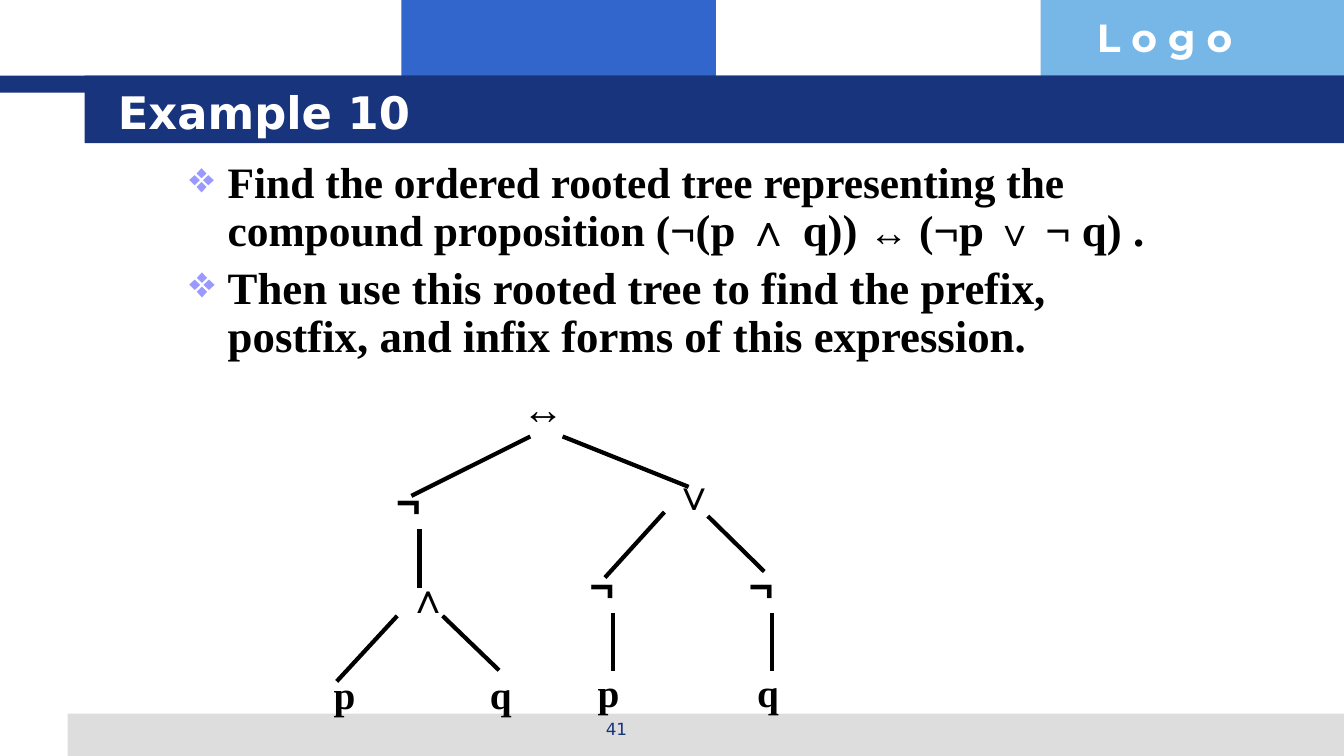
from pptx import Presentation
from pptx.dml.color import RGBColor
from pptx.enum.shapes import MSO_CONNECTOR, MSO_SHAPE
from pptx.enum.text import MSO_ANCHOR, MSO_AUTO_SIZE, PP_ALIGN
from pptx.oxml.ns import qn
from pptx.util import Inches, Pt
from lxml.etree import SubElement

# Content
TITLE = "Example 10"
LOGO = "L o g o"
PAGE = "41"
TASKS = [  # paragraphs of (text, style) runs
    [("Find the ordered rooted tree representing the compound proposition (", "body"),
     ("¬(p ∧ q)) ", "formula"), ("↔ ", "symbol"), ("(", "body"),
     ("¬p ", "formula"), ("∨ ", "symbol"), ("¬ q) .", "formula")],
    [("Then use this rooted tree to find the prefix, postfix, and infix forms "
      "of this expression.", "formula")],
]
OPERATORS = [("↔", 5.08, 3.75), ("∨", 6.58, 4.6), ("∧", 3.94, 5.62)]
NEGATIONS = [(3.83, 4.67), (5.75, 5.5), (7.33, 5.5)]
LEAVES = [("p", 3.21, 6.6), ("q", 4.76, 6.6), ("p", 5.83, 6.58), ("q", 7.41, 6.58)]
BRANCHES = [
    ((5.26, 4.33), (4.08, 4.92)), ((5.58, 4.33), (6.83, 4.83)),  # below ↔
    ((6.59, 5.08), (6, 5.73)), ((7.02, 5.12), (7.58, 5.67)),     # below ∨
    ((3.94, 6.11), (3.34, 6.76)), ((4.39, 6.11), (4.95, 6.65)),  # below ∧
]
BANDS = [  # left, top, width, height, colour
    (3.98, 0, 3.12, 0.92, "blue"),
    (10.32, 0, 3.01, 0.92, "sky"),
    (0.67, 7.08, 12.67, 0.42, "grey"),
    (0, 0.75, 13.33, 0.17, "navy"),
    (0.84, 0.75, 12.5, 0.67, "navy"),
]

# Theme
SERIF, SANS = "Times New Roman", "DejaVu Sans"
THEME = {
    "colours": {"blue": "3366CC", "sky": "77B7E7", "grey": "DDDDDD", "navy": "17347D",
                "white": "FFFFFF", "black": "000000", "bullet": "9999FF"},
    "styles": {  # font, size, bold, colour
        "title": (SANS, 32, True, "white"),
        "logo": ("Montserrat", 28, True, "white"),
        "page": (SANS, 12, False, "navy"),
        "body": (SERIF, 31, True, "black"),
        "formula": (SERIF, 32, True, "black"),
        "symbol": ("Arial", 28, True, "black"),
        "operator": ("Arial", 30, True, "black"),
        "leaf": (SERIF, 28, True, "black"),
    },
}
NODE_WIDTH = {"↔": 0.64, "¬": 0.5, "∧": 0.45, "∨": 0.45, "p": 0.42, "q": 0.42}
NODE_HEIGHT = {"operator": 0.6, "leaf": 0.57}
STEM_X, STEM_TOP, STEM_LENGTH = 0.33, 0.58, 0.58

prs = Presentation()
prs.slide_width, prs.slide_height = Inches(13.33), Inches(7.5)
slide = prs.slides.add_slide(prs.slide_layouts[6])
shapes = slide.shapes


def colour(name):
    return RGBColor.from_string(THEME["colours"][name])


def add_run(paragraph, text, style):
    run = paragraph.add_run()
    run.text = text
    name, size, bold, tint = THEME["styles"][style]
    for attribute, value in {"name": name, "size": Pt(size), "bold": bold}.items():
        setattr(run.font, attribute, value)
    run.font.color.rgb = colour(tint)


def add_frame(box, **settings):
    frame = shapes.add_textbox(*map(Inches, box)).text_frame
    for attribute, value in {"word_wrap": True, **settings}.items():
        setattr(frame, attribute, value)
    return frame


def add_label(text, style, box, align=PP_ALIGN.LEFT, **settings):
    paragraph = add_frame(box, **settings).paragraphs[0]
    paragraph.alignment = align
    add_run(paragraph, text, style)


def add_bullet(paragraph):
    properties = paragraph._p.get_or_add_pPr()
    properties.set("marL", str(Inches(0.38)))
    properties.set("indent", str(-Inches(0.38)))
    tint = SubElement(properties, qn("a:buClr"))
    SubElement(tint, qn("a:srgbClr"), val=THEME["colours"]["bullet"])
    SubElement(properties, qn("a:buChar"), char="❖")


def add_node(text, style, left, top):
    add_label(text, style, (left, top, NODE_WIDTH[text], NODE_HEIGHT[style]),
              word_wrap=False, auto_size=MSO_AUTO_SIZE.SHAPE_TO_FIT_TEXT)


def add_branch(start, end):
    branch = shapes.add_connector(MSO_CONNECTOR.STRAIGHT, *map(Inches, start + end))
    branch.line.color.rgb = colour("black")
    branch.line.width = Pt(3)
    SubElement(branch._element.spPr, qn("a:effectLst"))


# Header and footer bands
for *box, tint in BANDS:
    band = shapes.add_shape(MSO_SHAPE.RECTANGLE, *map(Inches, box))
    band.shadow.inherit = False
    band.fill.solid()
    band.fill.fore_color.rgb = colour(tint)
    band.line.fill.background()

# Logo word, page number and title
add_label(LOGO, "logo", (10.78, 0.08, 2.57, 0.57))
add_label(PAGE, "page", (4.56, 7.08, 3.11, 0.35), PP_ALIGN.CENTER)
add_label(TITLE, "title", (1.07, 0.8, 11.38, 0.62), vertical_anchor=MSO_ANCHOR.MIDDLE)

# Bulleted tasks
tasks = add_frame((1.78, 1.55, 9.72, 2.11))
for number, runs in enumerate(TASKS):
    task = tasks.add_paragraph() if number else tasks.paragraphs[0]
    add_bullet(task)
    task.line_spacing = 0.9
    task.space_before = Pt(6.4 if number else 0)
    for text, style in runs:
        add_run(task, text, style)

# Expression tree
for start, end in BRANCHES:
    add_branch(start, end)
for left, top in NEGATIONS:
    add_node("¬", "operator", left, top)
    stem_x, stem_y = left + STEM_X, top + STEM_TOP
    add_branch((stem_x, stem_y), (stem_x, stem_y + STEM_LENGTH))
for text, left, top in OPERATORS:
    add_node(text, "operator", left, top)
for text, left, top in LEAVES:
    add_node(text, "leaf", left, top)

prs.save("out.pptx")
